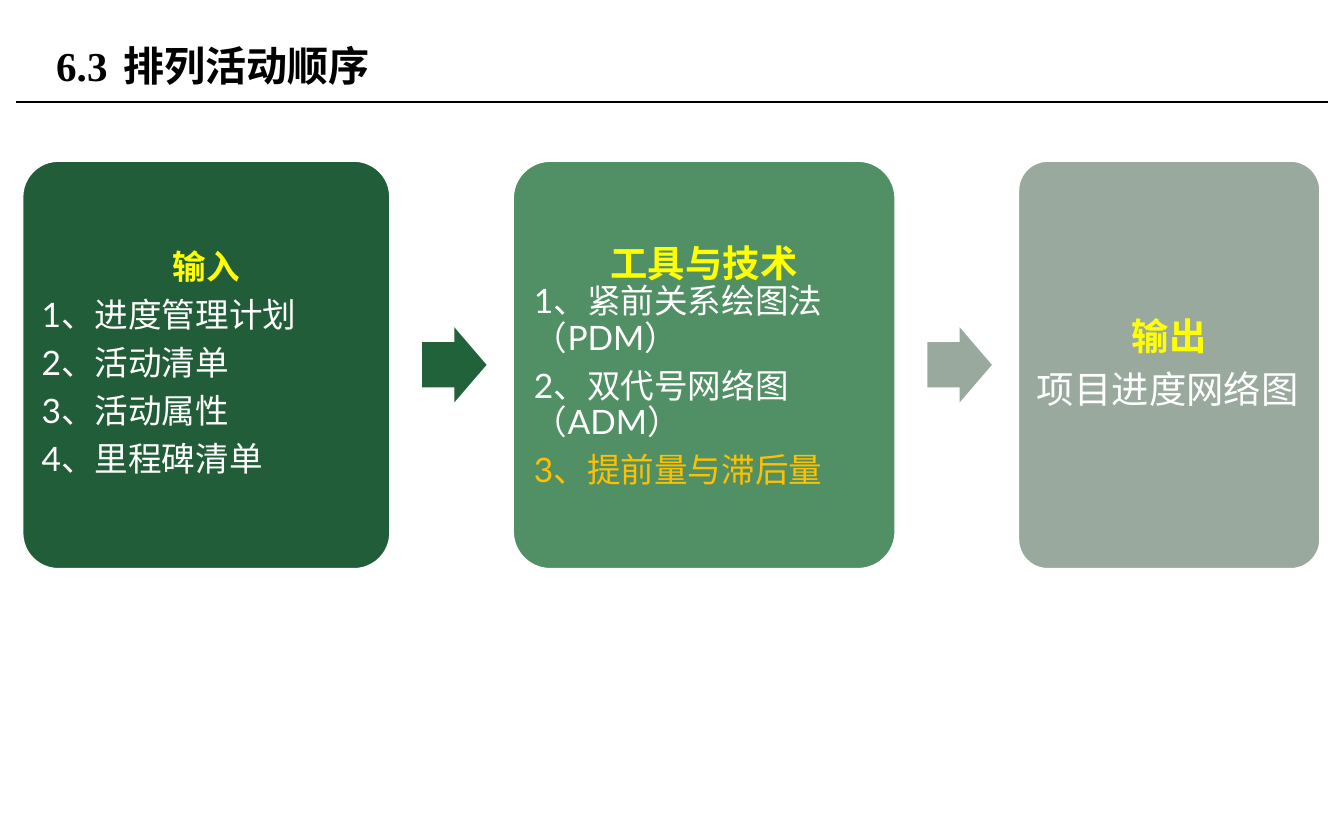
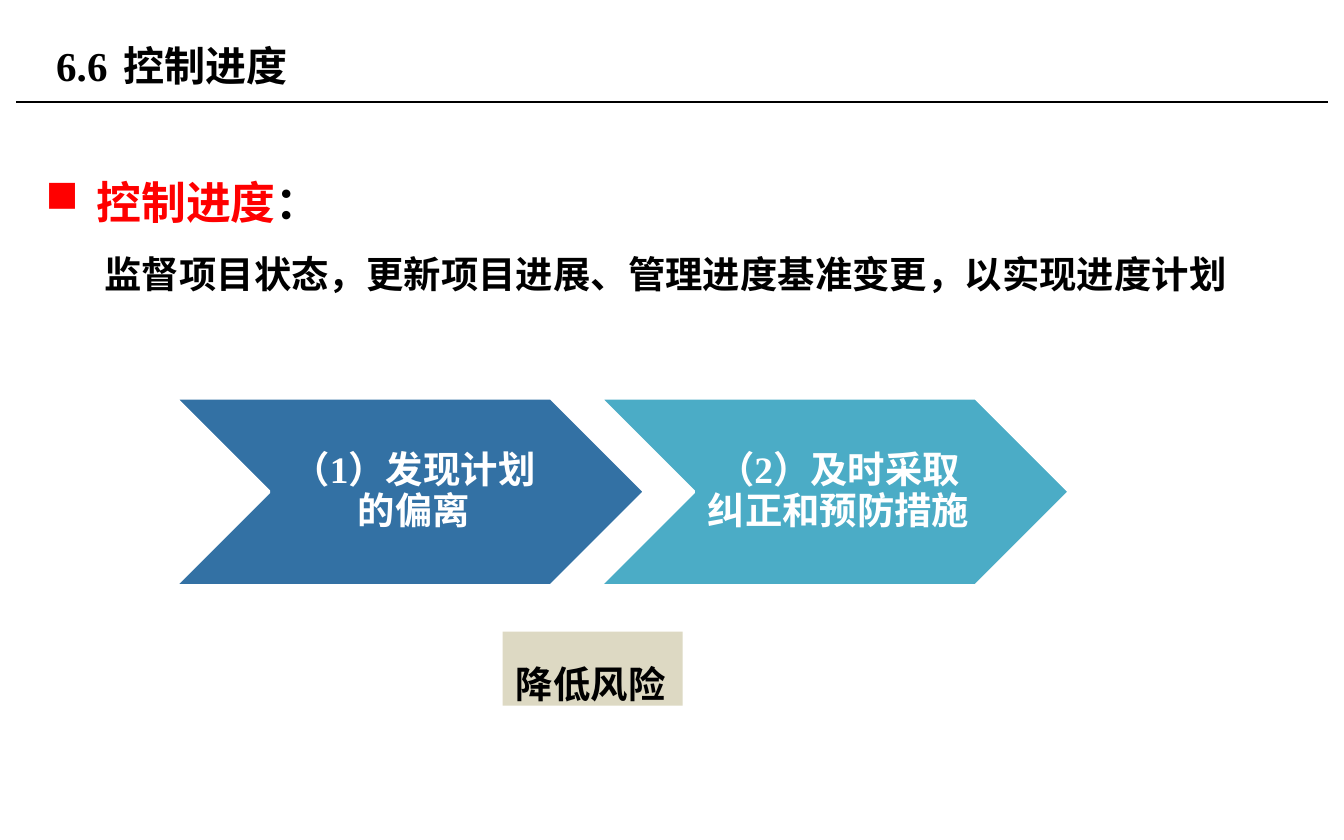
from dataclasses import dataclass, field
from typing import Any

from lxml import etree
from pptx import Presentation
from pptx.dml.color import RGBColor
from pptx.enum.shapes import MSO_CONNECTOR, MSO_SHAPE
from pptx.enum.text import MSO_ANCHOR, MSO_AUTO_SIZE, PP_ALIGN
from pptx.oxml.ns import qn
from pptx.util import Inches, Pt

ROUNDED, ARROW = MSO_SHAPE.ROUNDED_RECTANGLE, MSO_SHAPE.RIGHT_ARROW
CHEVRON, RECTANGLE = MSO_SHAPE.CHEVRON, MSO_SHAPE.RECTANGLE
STRAIGHT = MSO_CONNECTOR.STRAIGHT
TOP, MIDDLE = MSO_ANCHOR.TOP, MSO_ANCHOR.MIDDLE
LEFT, CENTER = PP_ALIGN.LEFT, PP_ALIGN.CENTER
GROW = MSO_AUTO_SIZE.SHAPE_TO_FIT_TEXT

COLORS = {
    "black": "000000", "white": "FFFFFF", "red": "FF0000",
    "yellow": "FFFF00", "amber": "FFC000",
    "input": "215D38", "input_arrow": "22623B", "tools": "519065",
    "output": "9AA99E", "output_arrow": "99A99D",
    "detect": "3371A4", "correct": "4BACC6", "sand": "DDD9C3",
}
SERIF, SANS = "Times New Roman", "Lato"
SPACE_AFTER = 0.35  # share of the text size
TITLE_TAB = 0.61
CARD_TOP, CARD_HEIGHT, CARD_GAP = 1.19, 3.05, 0.9
ARROW_WIDTH, ARROW_HEIGHT, ARROW_OFFSET = 0.48, 0.56, 0.23
CHEVRON_LEFT, CHEVRON_TOP, CHEVRON_WIDTH, CHEVRON_HEIGHT = 1.3, 2.96, 3.5, 1.4
CHEVRON_STEP = 3.16


@dataclass(frozen=True)
class Span:
    text: str
    size: float
    color: str = "black"
    font: str = SERIF
    bold: bool = True


@dataclass(frozen=True)
class Line:
    spans: list[Span]
    layout: dict[str, Any] = field(default_factory=dict)
    margin: float = 0
    hanging: float = 0
    bullet: str = ""
    tab: float = 0


@dataclass(frozen=True)
class Card:
    width: float
    fill: str
    inset: float
    lines: list[Line]
    arrow_fill: str = ""


@dataclass(frozen=True)
class Step:
    text: str
    fill: str


def apply_format(target: Any, values: dict[str, Any]) -> None:
    for attribute, value in values.items():
        setattr(target, attribute, value)


def tight(size: float, align: Any = LEFT) -> dict[str, Any]:
    """Paragraph format of the diagrams: narrow lines, a gap after each."""
    return {"alignment": align, "line_spacing": 0.9,
            "space_after": Pt(size * SPACE_AFTER)}


def card_heading(text: str, size: float, layout: dict[str, Any]) -> Line:
    return Line([Span(text, size, "yellow", SANS)], layout)


def card_item(text: str, color: str = "white") -> Line:
    return Line([Span(text, 18, color, SANS, False)], tight(18))


CARDS = [
    Card(2.75, "input", 0.07, [
        card_heading("输入", 18, tight(18, CENTER)),
        card_item("1、进度管理计划"),
        card_item("2、活动清单"),
        card_item("3、活动属性"),
        card_item("4、里程碑清单"),
    ], "input_arrow"),
    Card(2.86, "tools", 0.08, [
        card_heading("工具与技术", 20, {"alignment": CENTER}),
        card_item("1、紧前关系绘图法（PDM）"),
        card_item("2、双代号网络图（ADM）"),
        card_item("3、提前量与滞后量", "amber"),
    ], "output_arrow"),
    Card(2.26, "output", 0.08, [
        card_heading("输出", 20, tight(20, CENTER)),
        Line([Span("项目进度网络图", 20, "white", SANS, False)], tight(20)),
    ]),
]
STEPS = [
    Step("（1）发现计划的偏离", "detect"),
    Step("（2）及时采取纠正和预防措施", "correct"),
]
DEFINITION = [
    Line([Span("控制进度", 24, "red"), Span("：", 24)],
         {"line_spacing": 1.5}, margin=0.38, hanging=0.38, bullet="■"),
    Line([Span("监督项目状态，更新项目进展、管理进度基准变更，以实现进度计划", 20)],
         {"line_spacing": 1.5}, margin=0.44),
]


def rgb(name: str) -> RGBColor:
    return RGBColor.from_string(COLORS[name])


def set_indents(paragraph: Any, line: Line) -> None:
    properties = paragraph._p.get_or_add_pPr()
    properties.set("marL", str(Inches(line.margin)))
    properties.set("indent", str(Inches(-line.hanging)))
    if line.bullet:
        etree.SubElement(properties, qn("a:buChar")).set("char", line.bullet)
    if line.tab:
        tabs = etree.SubElement(properties, qn("a:tabLst"))
        stop = etree.SubElement(tabs, qn("a:tab"))
        stop.set("pos", str(Inches(line.tab)))
        stop.set("algn", "l")


def write(shape: Any, lines: list[Line], anchor: Any = TOP,
          insets: tuple[float, float, float, float] = (0.1, 0.05, 0.1, 0.05)) -> None:
    """Fill a shape with lines; insets run left, top, right, bottom."""
    frame = shape.text_frame
    sides = ("margin_left", "margin_top", "margin_right", "margin_bottom")
    apply_format(frame, {"word_wrap": True, "vertical_anchor": anchor,
                         **dict(zip(sides, map(Inches, insets)))})
    for index, line in enumerate(lines):
        paragraph = frame.add_paragraph() if index else frame.paragraphs[0]
        set_indents(paragraph, line)
        apply_format(paragraph, {"alignment": LEFT, **line.layout})
        for span in line.spans:
            run = paragraph.add_run()
            run.text = span.text
            apply_format(run.font, {"name": span.font, "size": Pt(span.size),
                                    "bold": span.bold})
            run.font.color.rgb = rgb(span.color)


def add_filled(slide: Any, kind: Any, box: tuple[float, float, float, float],
               fill: str, outlined: bool = False,
               adjustments: tuple[float, ...] = ()) -> Any:
    shape = slide.shapes.add_shape(kind, *map(Inches, box))
    shape.shadow.inherit = False
    shape.fill.solid()
    shape.fill.fore_color.rgb = rgb(fill)
    if outlined:
        shape.line.color.rgb = rgb("white")
        shape.line.width = Pt(2)
    else:
        shape.line.fill.background()
    for index, value in enumerate(adjustments):
        shape.adjustments[index] = value
    return shape


def add_text(slide: Any, box: tuple[float, float, float, float],
             lines: list[Line], anchor: Any = TOP) -> None:
    write(slide.shapes.add_textbox(*map(Inches, box)), lines, anchor)


def add_titled_slide(deck: Any, number: str, title: str) -> Any:
    slide = deck.slides.add_slide(deck.slide_layouts[6])
    rule = slide.shapes.add_connector(
        STRAIGHT, Inches(0.12), Inches(0.76), Inches(9.88), Inches(0.76))
    rule.line.color.rgb = rgb("black")
    rule.line.width = Pt(0.75)
    etree.SubElement(rule._element.spPr, qn("a:effectLst"))
    heading = Line([Span(f"{number}\t{title}", 22)], tab=TITLE_TAB)
    add_text(slide, (0.32, 0.13, 6.38, 0.71), [heading], MIDDLE)
    return slide


def build_sequence_slide(deck: Any) -> None:
    slide = add_titled_slide(deck, "6.3", "排列活动顺序")
    arrow_top = CARD_TOP + (CARD_HEIGHT - ARROW_HEIGHT) / 2
    left = 0.16
    for card in CARDS:
        panel = add_filled(slide, ROUNDED, (left, CARD_TOP, card.width, CARD_HEIGHT),
                           card.fill, True, (0.1,))
        write(panel, card.lines, MIDDLE, (card.inset,) * 4)
        right = left + card.width
        if card.arrow_fill:
            add_filled(slide, ARROW,
                       (right + ARROW_OFFSET, arrow_top, ARROW_WIDTH, ARROW_HEIGHT),
                       card.arrow_fill, adjustments=(0.6, 0.5))
        left = right + CARD_GAP


def build_control_slide(deck: Any) -> None:
    slide = add_titled_slide(deck, "6.6", "控制进度")
    add_text(slide, (0.24, 1.05, 9.53, 3.9), DEFINITION)
    goal = add_filled(slide, RECTANGLE, (3.74, 4.7, 1.34, 0.55), "sand")
    write(goal, [Line([Span("降低风险", 20)], {"line_spacing": 1.5})])
    goal.text_frame.auto_size = GROW
    for index, step in enumerate(STEPS):
        left = CHEVRON_LEFT + index * CHEVRON_STEP
        chevron = add_filled(slide, CHEVRON,
                             (left, CHEVRON_TOP, CHEVRON_WIDTH, CHEVRON_HEIGHT),
                             step.fill, True)
        write(chevron, [Line([Span(step.text, 20, "white")], tight(20, CENTER))],
              MIDDLE, (0.09, 0.03, 0.03, 0.03))


def main() -> None:
    deck = Presentation()
    deck.slide_width, deck.slide_height = Inches(10), Inches(6.25)
    build_sequence_slide(deck)
    build_control_slide(deck)
    deck.save("out.pptx")


if __name__ == "__main__":
    main()
